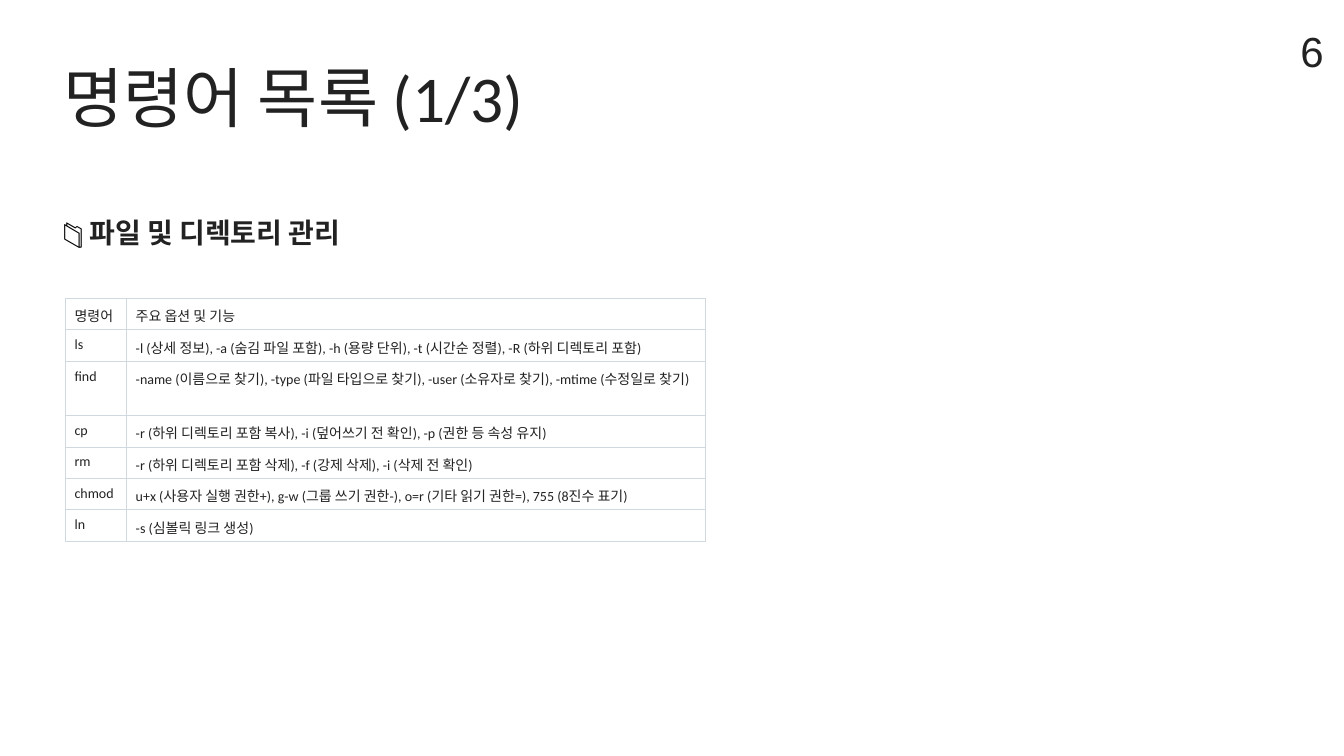
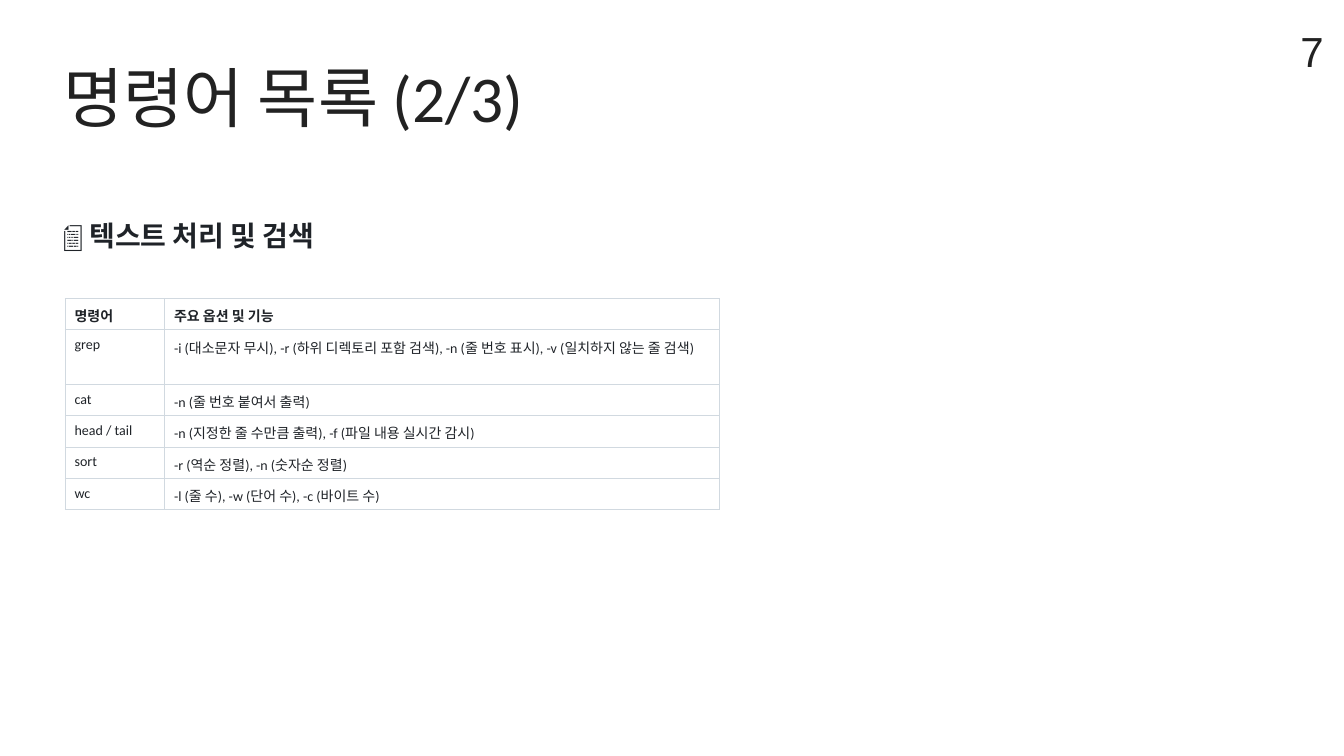
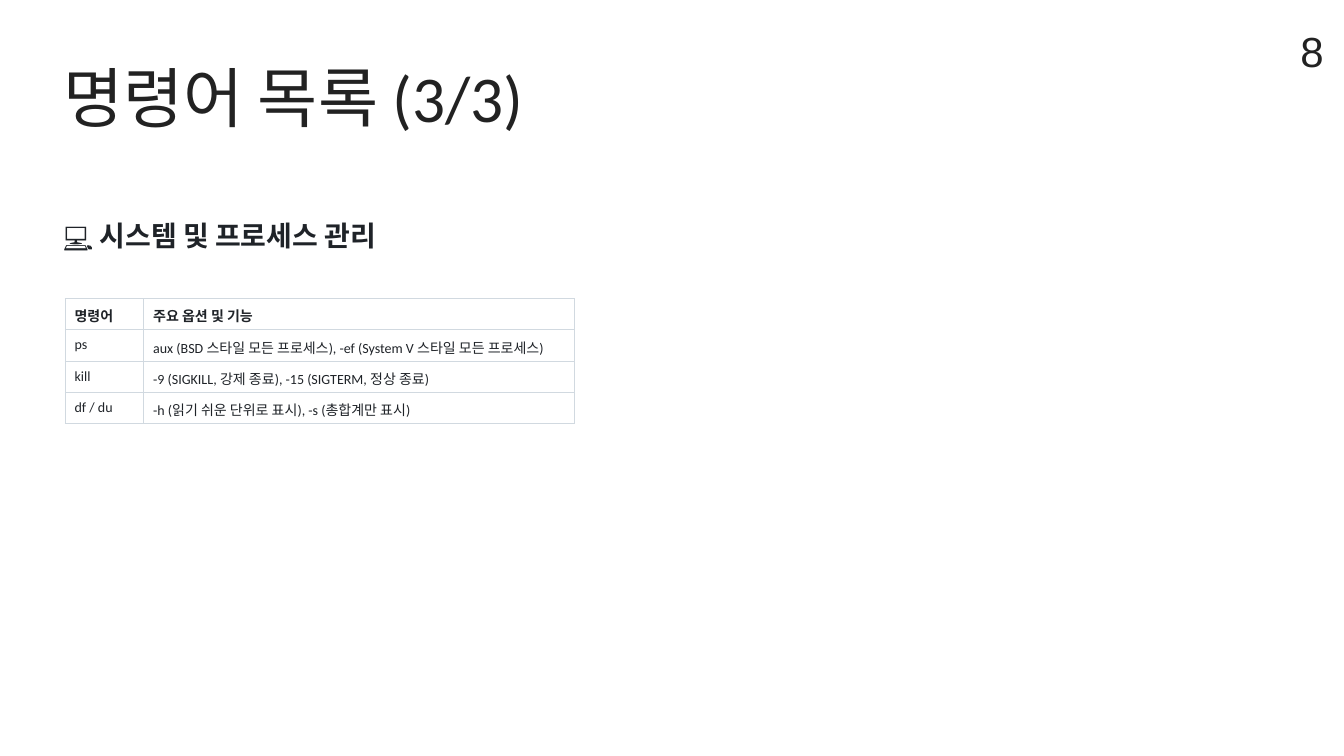
from lxml import etree
from pptx import Presentation
from pptx.dml.color import RGBColor
from pptx.enum.text import MSO_ANCHOR, MSO_AUTO_SIZE, PP_ALIGN
from pptx.oxml.ns import qn
from pptx.util import Inches, Pt

LEFT, RIGHT = PP_ALIGN.LEFT, PP_ALIGN.RIGHT
MIDDLE = MSO_ANCHOR.MIDDLE
NO_FIT = MSO_AUTO_SIZE.NONE
TITLE_ONLY = 5

INK, DARK, BLACK, WHITE, BORDER = "222222", "1F2328", "000000", "FFFFFF", "D1D9E0"

TITLE_BOX = (0.94, 0.81, 17.32, 1.36)
NUMBER_BOX = (18.38, 0.19, 1.32, 0.88)
HEADING_BOX = (0.94, 3.15, 6.76, 0.58)
TABLE_LEFT, TABLE_TOP, ROW_HEIGHT = 0.97, 4.44, 0.39
FIRST_NUMBER = 6

TITLE_FONT = {"size": Pt(70), "name": "Calibri", "bold": False}
NUMBER_FONT = {"size": Pt(45), "name": "Arial", "bold": False}
HEADING_FONT = {"size": Pt(30), "name": "Calibri", "bold": True}
CELL_FONT = {"size": Pt(15), "name": "Calibri"}

TITLE_PARA = {"alignment": LEFT, "line_spacing": 0.95}
NUMBER_PARA = {"alignment": RIGHT, "line_spacing": 1.33}
TIGHT_PARA = {"line_spacing": 1.08}
SPACED_PARA = {"line_spacing": 1.25, "space_before": Pt(18), "space_after": Pt(12)}
CELL_PARA = {"line_spacing": 1.15, "space_after": Pt(12)}
FRAME = {"margin_left": 0, "margin_top": 0, "margin_right": 0, "margin_bottom": 0,
         "vertical_anchor": MIDDLE, "word_wrap": True, "auto_size": NO_FIT}
CELL_MARGINS = {"margin_left": Inches(0.14), "margin_top": Inches(0.06),
                "margin_right": Inches(0.14), "margin_bottom": Inches(0.06)}

HEADER = ("명령어", "주요 옵션 및 기능")
SECTIONS = [
    {"heading": [("📁 ", BLACK), ("파일 및 디렉토리 관리", INK)],
     "heading_para": TIGHT_PARA, "color": INK, "bold_header": False,
     "widths": (0.91, 8.62),
     "commands": [
         ("ls", "-l (상세 정보), -a (숨김 파일 포함), -h (용량 단위), "
                "-t (시간순 정렬), -R (하위 디렉토리 포함)"),
         ("find", "-name (이름으로 찾기), -type (파일 타입으로 찾기), "
                  "-user (소유자로 찾기), -mtime (수정일로 찾기)"),
         ("cp", "-r (하위 디렉토리 포함 복사), -i (덮어쓰기 전 확인), -p (권한 등 속성 유지)"),
         ("rm", "-r (하위 디렉토리 포함 삭제), -f (강제 삭제), -i (삭제 전 확인)"),
         ("chmod", "u+x (사용자 실행 권한+), g-w (그룹 쓰기 권한-), "
                   "o=r (기타 읽기 권한=), 755 (8진수 표기)"),
         ("ln", "-s (심볼릭 링크 생성)"),
     ]},
    {"heading": [("📄 텍스트 처리 및 검색", DARK)],
     "heading_para": SPACED_PARA, "color": DARK, "bold_header": True,
     "widths": (1.48, 8.26),
     "commands": [
         ("grep", "-i (대소문자 무시), -r (하위 디렉토리 포함 검색), "
                  "-n (줄 번호 표시), -v (일치하지 않는 줄 검색)"),
         ("cat", "-n (줄 번호 붙여서 출력)"),
         ("head / tail", "-n (지정한 줄 수만큼 출력), -f (파일 내용 실시간 감시)"),
         ("sort", "-r (역순 정렬), -n (숫자순 정렬)"),
         ("wc", "-l (줄 수), -w (단어 수), -c (바이트 수)"),
     ]},
    {"heading": [("💻 시스템 및 프로세스 관리", DARK)],
     "heading_para": SPACED_PARA, "color": DARK, "bold_header": True,
     "widths": (1.17, 6.41),
     "commands": [
         ("ps", "aux (BSD 스타일 모든 프로세스), -ef (System V 스타일 모든 프로세스)"),
         ("kill", "-9 (SIGKILL, 강제 종료), -15 (SIGTERM, 정상 종료)"),
         ("df / du", "-h (읽기 쉬운 단위로 표시), -s (총합계만 표시)"),
     ]},
]


def rgb(value):
    """Turn a hex string into a colour."""
    return RGBColor.from_string(value)


def apply(target, values):
    """Set each attribute in values on target."""
    for name, value in values.items():
        setattr(target, name, value)


def write(tf, runs, font, para):
    """Fill the first paragraph with (text, colour) runs."""
    p = tf.paragraphs[0]
    apply(p, para)
    for text, color in runs:
        r = p.add_run()
        r.text = text
        apply(r.font, font)
        r.font.color.rgb = rgb(color)


def add_title(slide, text):
    """Place and format the slide title."""
    sp = slide.shapes.title
    apply(sp, dict(zip(("left", "top", "width", "height"), map(Inches, TITLE_BOX))))
    apply(sp.text_frame, FRAME)
    write(sp.text_frame, [(text, INK)], TITLE_FONT, TITLE_PARA)


def add_text(slide, box, runs, font, para):
    """Add a text box without margins."""
    tf = slide.shapes.add_textbox(*map(Inches, box)).text_frame
    apply(tf, FRAME)
    write(tf, runs, font, para)


def add_borders(cell):
    """Draw a thin line on all four sides of a cell."""
    tcPr = cell._tc.get_or_add_tcPr()
    for side in ("a:lnL", "a:lnR", "a:lnT", "a:lnB"):
        ln = etree.SubElement(tcPr, qn(side), w=str(Pt(0.75)))
        fill = etree.SubElement(ln, qn("a:solidFill"))
        etree.SubElement(fill, qn("a:srgbClr"), val=BORDER)


def add_command_table(slide, section):
    """Add the table of commands and their options."""
    rows = [HEADER] + section["commands"]
    widths = section["widths"]
    size = (sum(widths), ROW_HEIGHT * len(rows))
    table = slide.shapes.add_table(len(rows), len(widths),
                                   *map(Inches, (TABLE_LEFT, TABLE_TOP, *size))).table
    for column, width in zip(table.columns, widths):
        column.width = Inches(width)
    for i, row in enumerate(rows):
        font = {**CELL_FONT, "bold": i == 0 and section["bold_header"]}
        for j, text in enumerate(row):
            cell = table.cell(i, j)
            apply(cell, CELL_MARGINS)
            add_borders(cell)
            cell.fill.solid()
            cell.fill.fore_color.rgb = rgb(WHITE)
            write(cell.text_frame, [(text, section["color"])], font, CELL_PARA)


def main():
    """Build the command list slides."""
    prs = Presentation()
    prs.slide_width, prs.slide_height = Inches(20), Inches(11.25)
    for i, section in enumerate(SECTIONS):
        slide = prs.slides.add_slide(prs.slide_layouts[TITLE_ONLY])
        add_title(slide, f"명령어 목록 ({i + 1}/{len(SECTIONS)})")
        add_text(slide, NUMBER_BOX, [(str(FIRST_NUMBER + i), INK)], NUMBER_FONT, NUMBER_PARA)
        add_text(slide, HEADING_BOX, section["heading"], HEADING_FONT, section["heading_para"])
        add_command_table(slide, section)
    prs.save("out.pptx")


if __name__ == "__main__":
    main()
